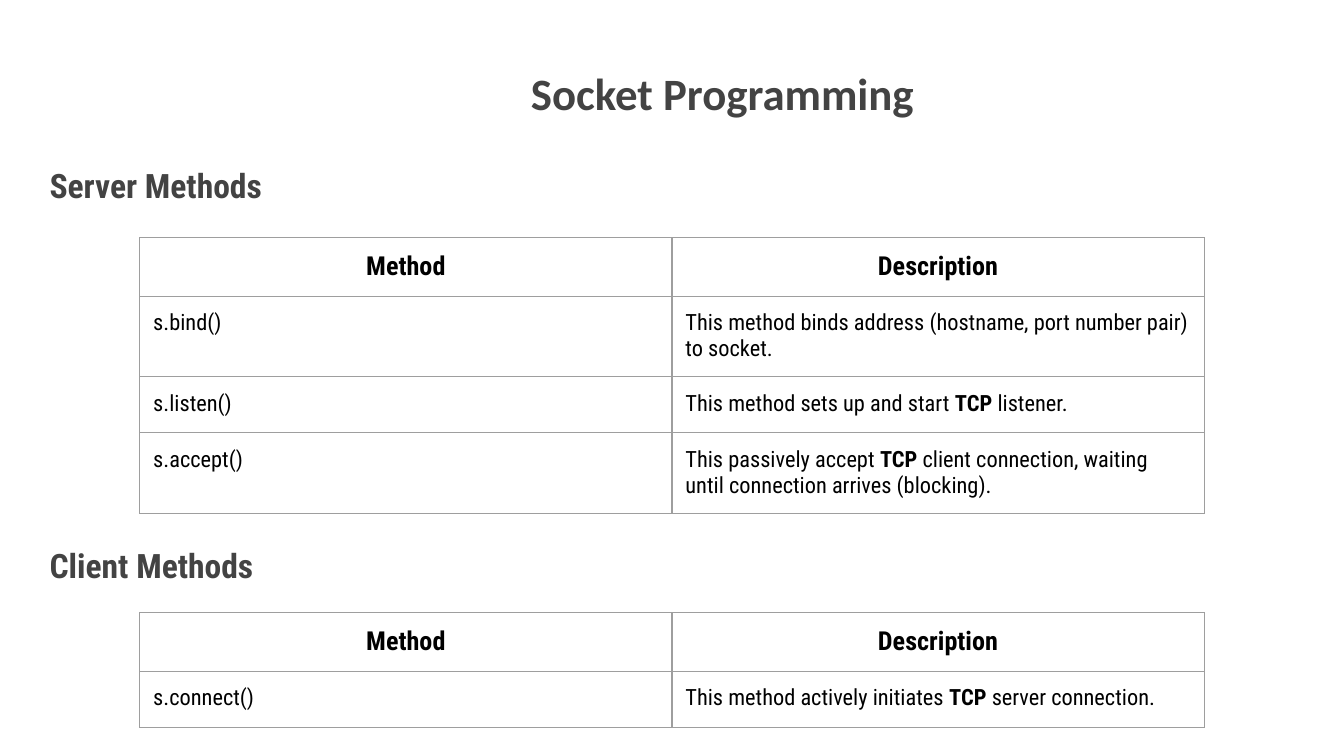
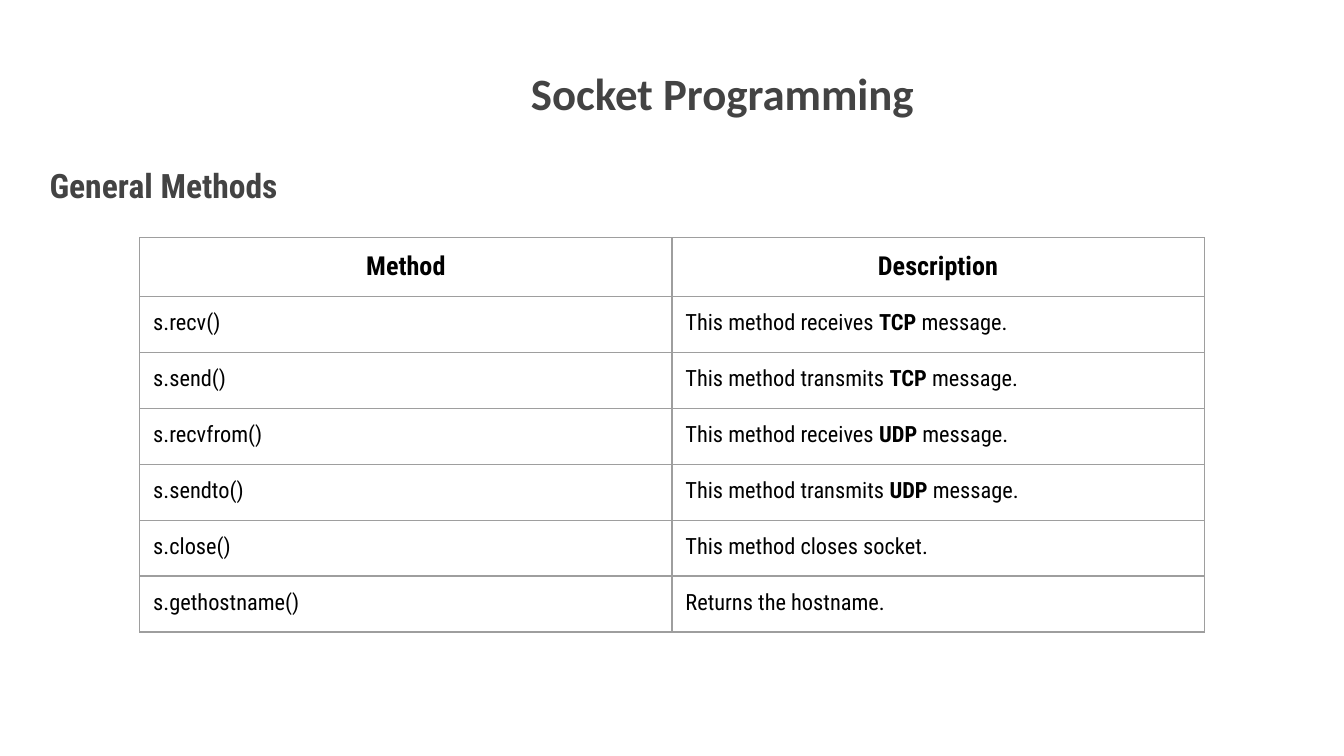
from dataclasses import dataclass

from lxml.etree import SubElement
from pptx import Presentation
from pptx.dml.color import RGBColor
from pptx.enum.text import MSO_ANCHOR, PP_ALIGN
from pptx.oxml.ns import qn
from pptx.util import Inches, Pt


@dataclass(frozen=True)
class Theme:
    title_font: str = "Calibri"
    body_font: str = "Roboto Condensed"
    background: str = "FFFFFF"
    heading_color: str = "434343"
    table_color: str = "000000"
    border_color: str = "9E9E9E"
    title_size: int = 24
    heading_size: int = 18
    header_size: int = 14
    cell_size: int = 12
    heading_gap: int = 179
    heading_spacing: float = 1.15
    border_width: float = 0.75
    inset: float = 0.1


COLUMN_TITLES = ("Method", "Description")

# Asterisks enclose the bold part of a description.
SERVER_METHODS = [
    ("s.bind()", "This method binds address (hostname, port number pair) to socket."),
    ("s.listen()", "This method sets up and start *TCP *listener."),
    ("s.accept()", "This passively accept *TCP *client connection, "
                   "waiting until connection arrives (blocking)."),
]
CLIENT_METHODS = [
    ("s.connect()", "This method actively initiates *TCP *server connection."),
]
GENERAL_METHODS = [
    ("s.recv()", "This method receives *TCP *message."),
    ("s.send()", "This method transmits *TCP *message."),
    ("s.recvfrom()", "This method receives *UDP *message."),
    ("s.sendto()", "This method transmits *UDP *message."),
    ("s.close()", "This method closes socket."),
    ("s.gethostname()", "Returns the hostname."),
]


class Deck:
    def __init__(self, theme):
        self.theme = theme
        self.presentation = Presentation()
        self.presentation.slide_width = Inches(10)
        self.presentation.slide_height = Inches(10) * 9 // 16
        self.slide = None

    def new_slide(self):
        self.slide = self.presentation.slides.add_slide(
            self.presentation.slide_layouts[6])
        fill = self.slide.background.fill
        fill.solid()
        fill.fore_color.rgb = RGBColor.from_string(self.theme.background)

    def text(self, words, left, top, width, height, font_name, size):
        """Add a bold text box and return its paragraphs, one per line."""
        box = self.slide.shapes.add_textbox(
            Inches(left), Inches(top), Inches(width), Inches(height))
        frame = box.text_frame
        frame.word_wrap = True
        frame.vertical_anchor = MSO_ANCHOR.TOP
        self.set_insets(frame)
        frame.text = words
        for paragraph in frame.paragraphs:
            self.style(paragraph.runs[0], font_name, size,
                       self.theme.heading_color, True)
        return frame.paragraphs

    def title(self, words):
        heading, = self.text(words, 2.15, 0.39, 6.45, 0.68,
                             self.theme.title_font, self.theme.title_size)
        heading.alignment = PP_ALIGN.CENTER

    def section_headings(self, *headings):
        """Put all headings in one box, leaving room for a table between them."""
        paragraphs = self.text("\n".join(headings), 0.27, 1.08, 9.45, 4.44,
                               self.theme.body_font, self.theme.heading_size)
        for index, paragraph in enumerate(paragraphs):
            paragraph.line_spacing = self.theme.heading_spacing
            if index:
                paragraph.space_before = Pt(self.theme.heading_gap)

    def method_table(self, methods, top):
        rows = [COLUMN_TITLES, *methods]
        column_width, row_height = Inches(3.96), Inches(1.25) // 3
        table = self.slide.shapes.add_table(
            len(rows), len(COLUMN_TITLES), Inches(1.04), Inches(top),
            column_width * len(COLUMN_TITLES), row_height * len(rows)).table
        table.first_row = False
        table.horz_banding = False
        for row_index, row in enumerate(rows):
            for column_index, words in enumerate(row):
                self.cell(table.cell(row_index, column_index), words,
                          is_header=row_index == 0)

    def cell(self, cell, words, is_header):
        self.set_insets(cell)
        cell.vertical_anchor = MSO_ANCHOR.TOP
        self.set_borders(cell)
        cell.fill.background()
        paragraph = cell.text_frame.paragraphs[0]
        paragraph.alignment = PP_ALIGN.CENTER if is_header else PP_ALIGN.LEFT
        size = self.theme.header_size if is_header else self.theme.cell_size
        for index, part in enumerate(words.split("*")):
            run = paragraph.add_run()
            run.text = part
            self.style(run, self.theme.body_font, size,
                       self.theme.table_color, is_header or index % 2 == 1)

    def set_borders(self, cell):
        properties = cell._tc.get_or_add_tcPr()
        for side in ("a:lnL", "a:lnR", "a:lnT", "a:lnB"):
            line = SubElement(properties, qn(side),
                              w=str(Pt(self.theme.border_width)))
            fill = SubElement(line, qn("a:solidFill"))
            SubElement(fill, qn("a:srgbClr"), val=self.theme.border_color)

    def set_insets(self, holder):
        inset = Inches(self.theme.inset)
        holder.margin_left = holder.margin_right = inset
        holder.margin_top = holder.margin_bottom = inset

    @staticmethod
    def style(run, font_name, size, color, bold):
        run.font.name = font_name
        run.font.size = Pt(size)
        run.font.bold = bold
        run.font.color.rgb = RGBColor.from_string(color)


def main():
    deck = Deck(Theme())
    slides = [
        {"Server Methods": (SERVER_METHODS, 1.77),
         "Client Methods": (CLIENT_METHODS, 4.56)},
        {"General Methods": (GENERAL_METHODS, 1.77)},
    ]
    for sections in slides:
        deck.new_slide()
        deck.section_headings(*sections)
        deck.title("Socket Programming")
        for methods, table_top in sections.values():
            deck.method_table(methods, table_top)
    deck.presentation.save("out.pptx")


if __name__ == "__main__":
    main()
